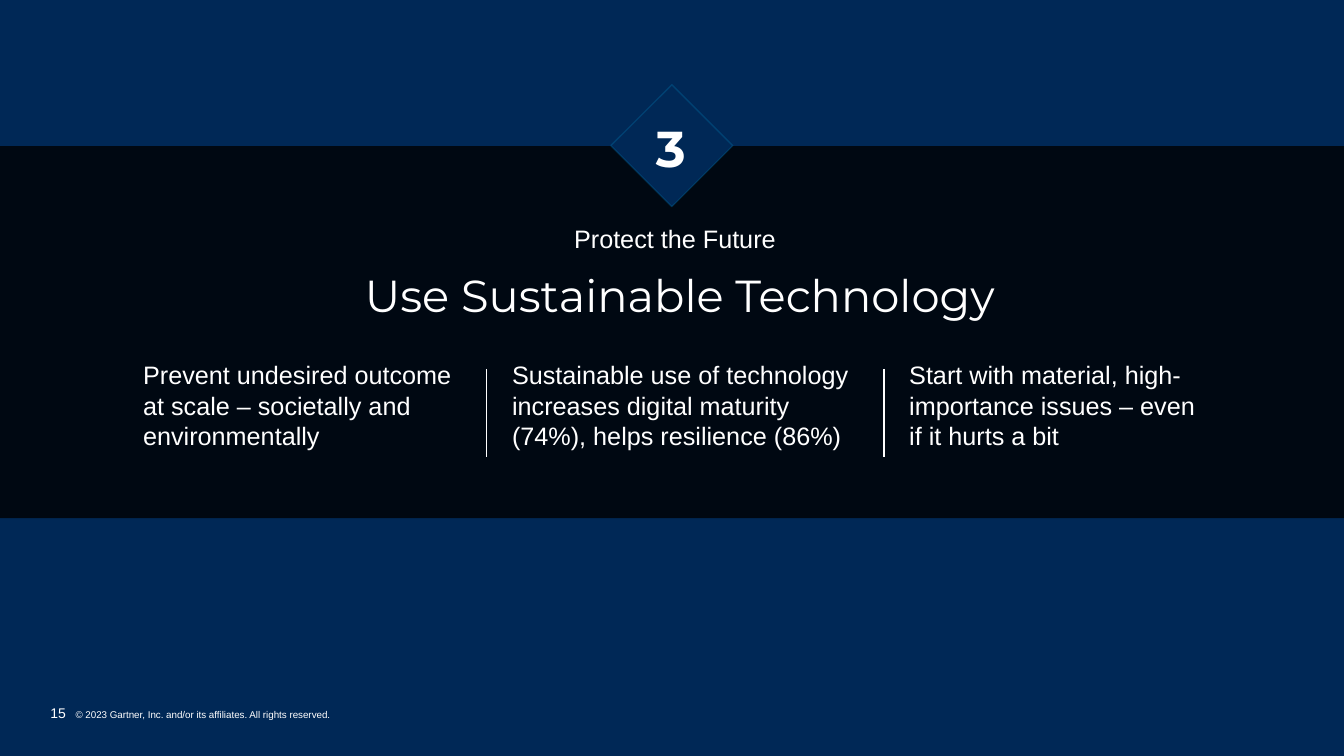
import pptx
import pptx.dml.color
import pptx.enum.shapes
import pptx.enum.text
import pptx.oxml.ns
import pptx.util
from lxml import etree

Inches, Pt = pptx.util.Inches, pptx.util.Pt
SHAPES = pptx.enum.shapes.MSO_SHAPE
ANCHOR = pptx.enum.text.MSO_ANCHOR
ALIGN = pptx.enum.text.PP_ALIGN
NAVY, BLACK, WHITE, BLUE = "002856", "000000", "FFFFFF", "009AD7"

presentation = pptx.Presentation()
presentation.slide_width = Inches(13.33)
presentation.slide_height = Inches(7.5)
# All places and sizes are percentages of the slide's width and height.
across = presentation.slide_width / 100
down = presentation.slide_height / 100
slide = presentation.slides.add_slide(presentation.slide_layouts[6])


def paint(color_format, hex_color, opacity=100):
    """Set a solid fill's or line's fore colour, with opacity in percent."""
    color_format.solid()
    color_format.fore_color.rgb = pptx.dml.color.RGBColor.from_string(hex_color)
    if opacity < 100:
        for color in color_format._xPr.iter(pptx.oxml.ns.qn("a:srgbClr")):
            alpha = etree.SubElement(color, pptx.oxml.ns.qn("a:alpha"))
            alpha.set("val", str(opacity * 1000))


def add_text(text, left, top, width, height, size, font="Arial", align=ALIGN.LEFT,
             anchor=ANCHOR.TOP, insets=(0, 0.05, 0.1, 0.05)):
    """Add a white one-paragraph text box and return its paragraph."""
    box = slide.shapes.add_textbox(
        int(left * across), int(top * down), int(width * across), int(height * down))
    frame = box.text_frame
    frame.word_wrap = True
    frame.vertical_anchor = anchor
    frame.margin_left, frame.margin_top, frame.margin_right, frame.margin_bottom = map(Inches, insets)
    paragraph = frame.paragraphs[0]
    paragraph.text = text
    paragraph.alignment = align
    paragraph.font.name = font
    paragraph.font.size = Pt(size)
    paint(paragraph.font.fill, WHITE)
    return paragraph


paint(slide.background.fill, NAVY)

# Footer: page number and copyright, parted by a hanging indent
footer = add_text("", 3.75, 93.2, 59.93, 2.27, 7, anchor=ANCHOR.BOTTOM, insets=(0, 0, 0, 0))
properties = footer._p.get_or_add_pPr()
properties.set("marL", str(Inches(0.25)))
properties.set("indent", str(-Inches(0.25)))
for text, size in (("15", 10), ("\t© 2023 Gartner, Inc. and/or its affiliates. All rights reserved.", 7)):
    run = footer.add_run()
    run.text = text
    run.font.size = Pt(size)

# Dark band across the slide
band = slide.shapes.add_shape(
    SHAPES.RECTANGLE, 0, int(19.33 * down), presentation.slide_width, int(49.2 * down))
band.shadow.inherit = False
paint(band.fill, BLACK, 79)
band.line.fill.background()

# Headings
add_text("Protect the Future", 27.6, 28.93, 45.98, 5.33, 18, align=ALIGN.CENTER)
title = add_text("Use Sustainable Technology", 4.35, 36.27, 92.5, 6.4, 32, "Montserrat",
                 ALIGN.CENTER, ANCHOR.MIDDLE, (0.1, 0.05, 0.1, 0.05))
title.line_spacing = 0.9

# Three messages, with a divider before each one but the first
messages = [
    (10.65, 24.3, "Prevent undesired outcome at scale – societally and environmentally"),
    (38.1, 25.8, "Sustainable use of technology increases digital maturity (74%), "
                 "helps resilience (86%)"),
    (67.65, 23.1, "Start with material, high-importance issues – even if it hurts a bit"),
]
for index, (left, width, text) in enumerate(messages):
    add_text(text, left, 46.93, width, 13.47, 18)
    if index > 0:
        divider_x = int((left - 1.88) * across)
        divider = slide.shapes.add_connector(
            pptx.enum.shapes.MSO_CONNECTOR.STRAIGHT,
            divider_x, int(48.8 * down), divider_x, int(60.4 * down))
        paint(divider.line.fill, WHITE)
        divider.line.width = Pt(1)
        etree.SubElement(divider._element.spPr, pptx.oxml.ns.qn("a:effectLst"))

# Numbered diamond on the band's top edge
diamond = slide.shapes.add_shape(
    SHAPES.DIAMOND, int(45.45 * across), int(11.2 * down), int(9.08 * across), int(16.13 * down))
diamond.shadow.inherit = False
paint(diamond.fill, NAVY)
paint(diamond.line.fill, BLUE, 22)
diamond.line.width = Pt(1)
number = add_text("3", 48.75, 14.8, 3, 9.47, 36, "Montserrat", ALIGN.RIGHT)
number.font.bold = True

presentation.save("out.pptx")
